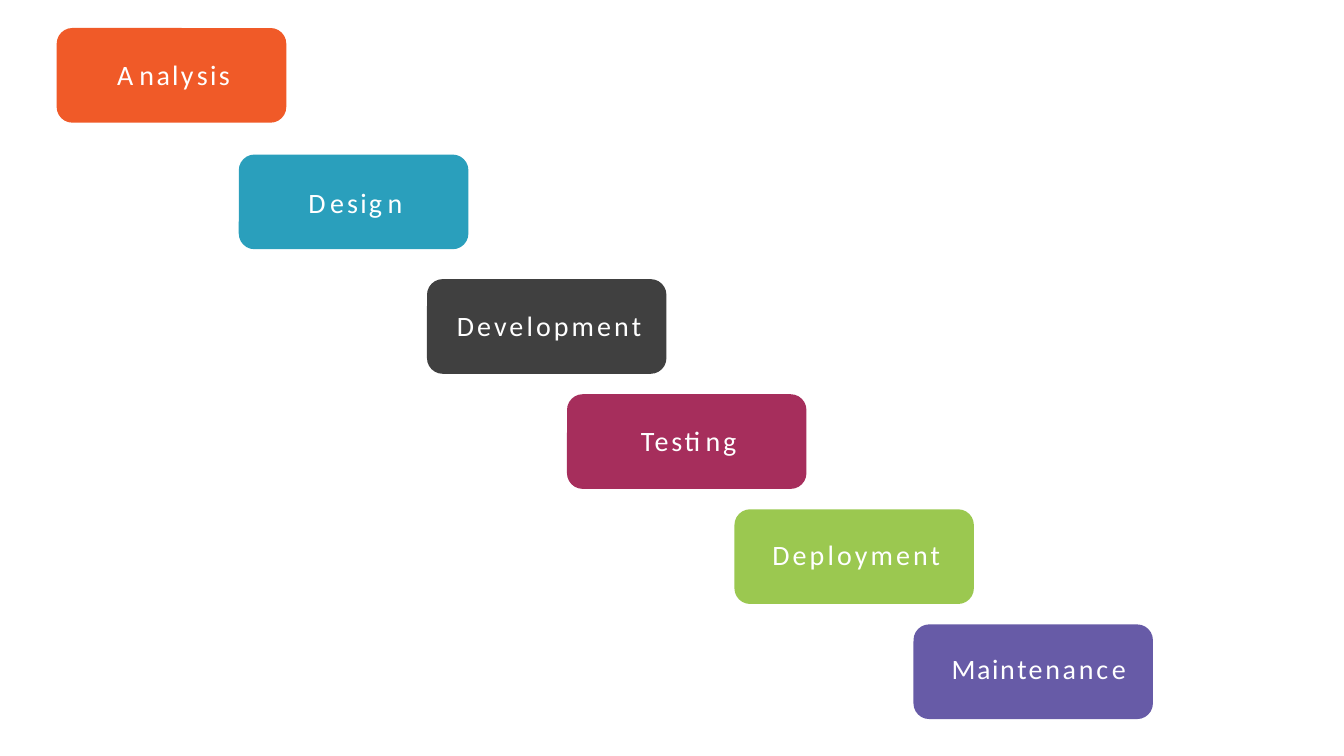
from pptx import Presentation
from pptx.dml.color import RGBColor
from pptx.enum.shapes import MSO_SHAPE
from pptx.enum.text import MSO_ANCHOR, PP_ALIGN
from pptx.util import Pt

WHITE = RGBColor(0xFF, 0xFF, 0xFF)
ORANGE = RGBColor(0xF0, 0x5A, 0x28)
TEAL = RGBColor(0x2A, 0x9F, 0xBC)
CHARCOAL = RGBColor(0x40, 0x40, 0x40)
CRIMSON = RGBColor(0xA6, 0x2E, 0x5C)
GREEN = RGBColor(0x9B, 0xC8, 0x50)
PURPLE = RGBColor(0x67, 0x5B, 0xA7)

FONT = "Calibri"
FONT_SIZE = 20
BOX_HEIGHT = 67.6
CORNER = 0.166

# Left, top, width, fill, text indent, text lift, (letters, spacing in points)
PHASES = [
    (40.5, 20, 164, ORANGE, 40, 1,
     [("A", 4.2), ("n", 1.8), ("al", 1.6), ("y", 2.4), ("si", 1.6), ("s", 2.1)]),
    (170.6, 110.4, 164, TEAL, 46.5, 0,
     [("D", 3.2), ("e", 2.1), ("si", 1.6), ("g", 3.9), ("n", 1.9)]),
    (305, 199.4, 171, CHARCOAL, 18, 1, [("Development", 2.2)]),
    (405, 281.6, 171, CRIMSON, 49.5, 2, [("Testing", 1.9)]),
    (524.6, 363.8, 171, GREEN, 23.8, 4, [("Deployment", 2.2)]),
    (652.5, 446, 171, PURPLE, 24, 5,
     [("Mai", 1.1), ("n", 1.8), ("t", 1.2), ("e", 2.1), ("n", 1.8),
      ("a", 1.9), ("n", 2), ("c", 2.6), ("e", 2.1)]),
]


def add_label(sp, letters, indent, lift):
    tf = sp.text_frame
    tf.word_wrap = False
    tf.vertical_anchor = MSO_ANCHOR.MIDDLE
    tf.margin_left, tf.margin_right = Pt(indent), Pt(0)
    tf.margin_top, tf.margin_bottom = Pt(0), Pt(lift)
    p = tf.paragraphs[0]
    p.alignment = PP_ALIGN.LEFT
    for text, spacing in letters:
        r = p.add_run()
        r.text = text
        r.font.name = FONT
        r.font.size = Pt(FONT_SIZE)
        r.font.color.rgb = WHITE
        # Letter spacing is stored in hundredths of a point
        r.font._element.set("spc", str(round(spacing * 100)))


def add_phase(slide, left, top, width, color, indent, lift, letters):
    sp = slide.shapes.add_shape(MSO_SHAPE.ROUNDED_RECTANGLE, Pt(left), Pt(top),
                                Pt(width), Pt(BOX_HEIGHT))
    sp.adjustments[0] = CORNER
    sp.shadow.inherit = False
    sp.fill.solid()
    sp.fill.fore_color.rgb = color
    sp.line.fill.background()
    add_label(sp, letters, indent, lift)


def main():
    prs = Presentation()
    prs.slide_width, prs.slide_height = Pt(960), Pt(540)
    slide = prs.slides.add_slide(prs.slide_layouts[6])

    # Waterfall of phases
    for phase in PHASES:
        add_phase(slide, *phase)

    prs.save("out.pptx")


if __name__ == "__main__":
    main()
